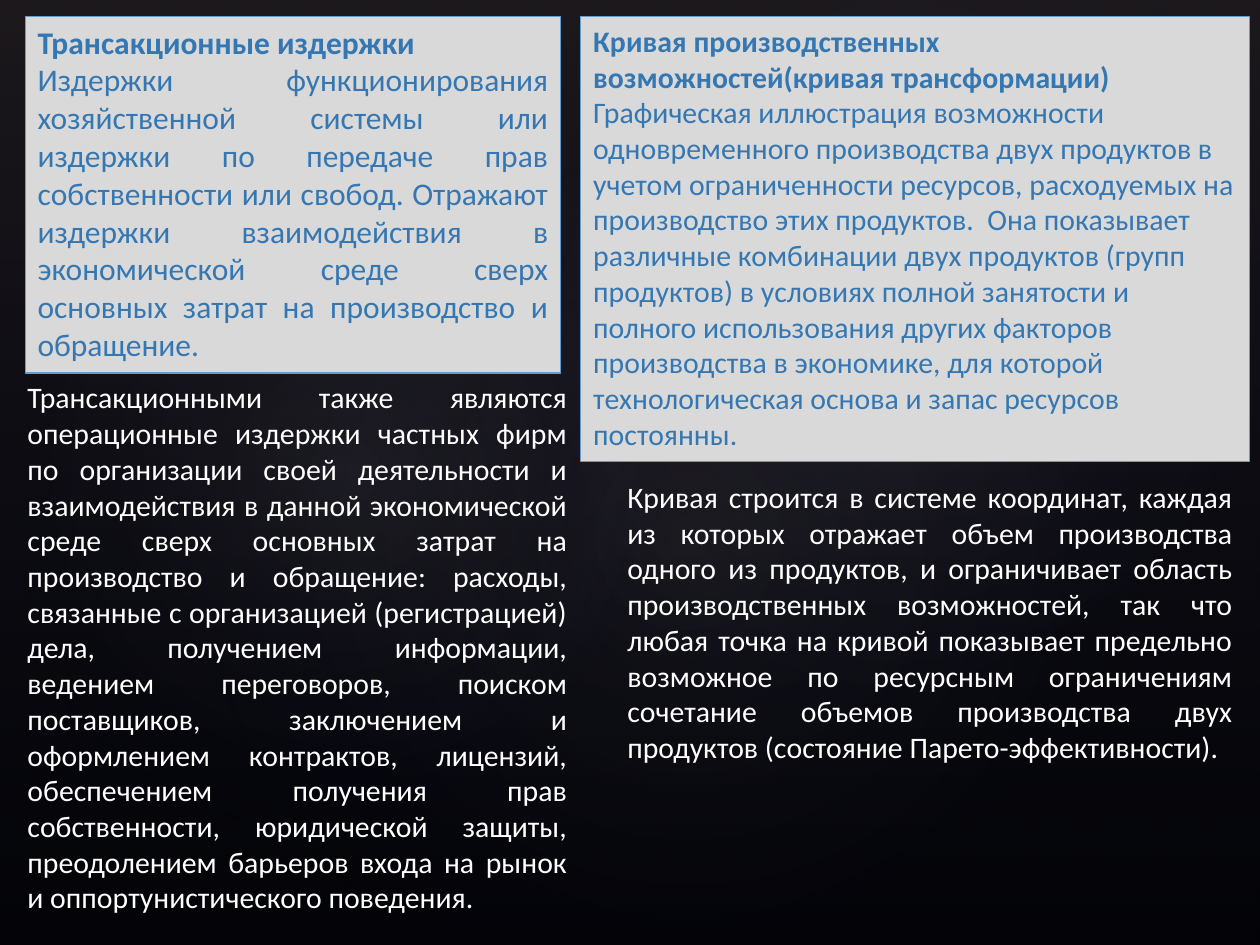
from lxml import etree
from pptx import Presentation
from pptx.dml.color import RGBColor
from pptx.enum import shapes, text
from pptx.oxml import ns
from pptx.util import Pt

WHITE, BLUE, GREY, EDGE = "FFFFFF", "3477B2", "D9D9D9", "629DD1"
JUSTIFY, LEFT = text.PP_ALIGN.JUSTIFY, text.PP_ALIGN.LEFT


def color(value):
    return RGBColor.from_string(value)


def fade(shape, stops, direction):
    """Give a shape a see-through gradient; stops are (position %, colour, opacity %)."""
    shape.shadow.inherit = False
    shape.line.fill.background()
    shape.fill.background()
    stop_xml = "".join(
        f'<a:gs pos="{pos * 1000}"><a:srgbClr val="{tint}">'
        f'<a:alpha val="{opacity * 1000}"/></a:srgbClr></a:gs>'
        for pos, tint, opacity in stops)
    gradient = etree.fromstring(
        f'<a:gradFill xmlns:a="{ns.nsdecls("a").split(chr(34))[1]}" rotWithShape="1">'
        f'<a:gsLst>{stop_xml}</a:gsLst>{direction}</a:gradFill>')
    properties = shape.fill._xPr
    properties.replace(properties.find(ns.qn("a:noFill")), gradient)


prs = Presentation()
prs.slide_width, prs.slide_height = Pt(720), Pt(540)
slide = prs.slides.add_slide(prs.slide_layouts[6])

# Dark background with a vertical sheen
slide.background.fill.solid()
slide.background.fill.fore_color.rgb = color("000000")
sheen = slide.shapes.add_shape(shapes.MSO_SHAPE.RECTANGLE, 0, 0, prs.slide_width, prs.slide_height)
fade(sheen, [(0, "504652", 36), (100, "242852", 10)], '<a:lin ang="5400000" scaled="0"/>')

# Soft glows: left, top, width, height, rotation, opacity at the centre
glows = [
    (108, 82.1, 570.2, 449.3, 328.7, 7),
    (-21.6, 92.2, 436.3, 352.8, 294.3, 8),
    (257.8, 9.4, 510.5, 374.4, 328.7, 8),
]
for *box, rotation, opacity in glows:
    glow = slide.shapes.add_shape(shapes.MSO_SHAPE.OVAL, *map(Pt, box))
    glow.rotation = rotation
    fade(glow, [(0, "C4BCC6", opacity), (58, "242852", 0)],
         '<a:path path="circle">'
         '<a:fillToRect l="50000" t="50000" r="50000" b="50000"/></a:path>')

# Term cards (heading and definition) and the plain explanations under them
blocks = [
    ((14.4, 9.4, 306, 203.8), 18, JUSTIFY, "Трансакционные издержки",
     "Издержки функционирования хозяйственной системы или издержки по передаче прав "
     "собственности или свобод. Отражают издержки взаимодействия в экономической среде "
     "сверх основных затрат на производство и обращение."),
    ((8.6, 213.1, 322.6, 316.1), 17, JUSTIFY, None,
     "Трансакционными также являются операционные издержки частных фирм по организации "
     "своей деятельности и взаимодействия в данной экономической среде сверх основных "
     "затрат на производство и обращение: расходы, связанные с организацией (регистрацией) "
     "дела, получением информации, ведением переговоров, поиском поставщиков, заключением "
     "и оформлением контрактов, лицензий, обеспечением получения прав собственности, "
     "юридической защиты, преодолением барьеров входа на рынок и оппортунистического "
     "поведения."),
    ((331.9, 9.4, 382.3, 254.2), 17, LEFT,
     "Кривая производственных возможностей(кривая трансформации)",
     "Графическая иллюстрация возможности одновременного производства двух продуктов в "
     "учетом ограниченности ресурсов, расходуемых на производство этих продуктов.  Она "
     "показывает различные комбинации двух продуктов (групп продуктов) в условиях полной "
     "занятости и полного использования других факторов производства в экономике, для "
     "которой технологическая основа и запас ресурсов постоянны."),
    ((351.4, 270, 360, 172.1), 17, JUSTIFY, None,
     "Кривая строится в системе координат, каждая из которых отражает объем производства "
     "одного из продуктов, и ограничивает область производственных возможностей, так что "
     "любая точка на кривой показывает предельно возможное по ресурсным ограничениям "
     "сочетание объемов производства двух продуктов (состояние Парето-эффективности)."),
]
for box, size, alignment, heading, body in blocks:
    if heading:
        block = slide.shapes.add_shape(shapes.MSO_SHAPE.RECTANGLE, *map(Pt, box))
        block.shadow.inherit = False
        block.fill.solid()
        block.fill.fore_color.rgb = color(GREY)
        block.line.color.rgb = color(EDGE)
        block.line.width = Pt(0.75)
    else:
        block = slide.shapes.add_textbox(*map(Pt, box))
    frame = block.text_frame
    frame.word_wrap = True
    frame.auto_size = text.MSO_AUTO_SIZE.SHAPE_TO_FIT_TEXT
    frame.vertical_anchor = text.MSO_ANCHOR.TOP
    frame.text = f"{heading}\n{body}" if heading else body
    for paragraph in frame.paragraphs:
        paragraph.alignment = alignment
        font = paragraph.runs[0].font
        font.name, font.size = "Calibri", Pt(size)
        font.bold = paragraph.text == heading
        font.color.rgb = color(BLUE if heading else WHITE)

prs.save("out.pptx")
